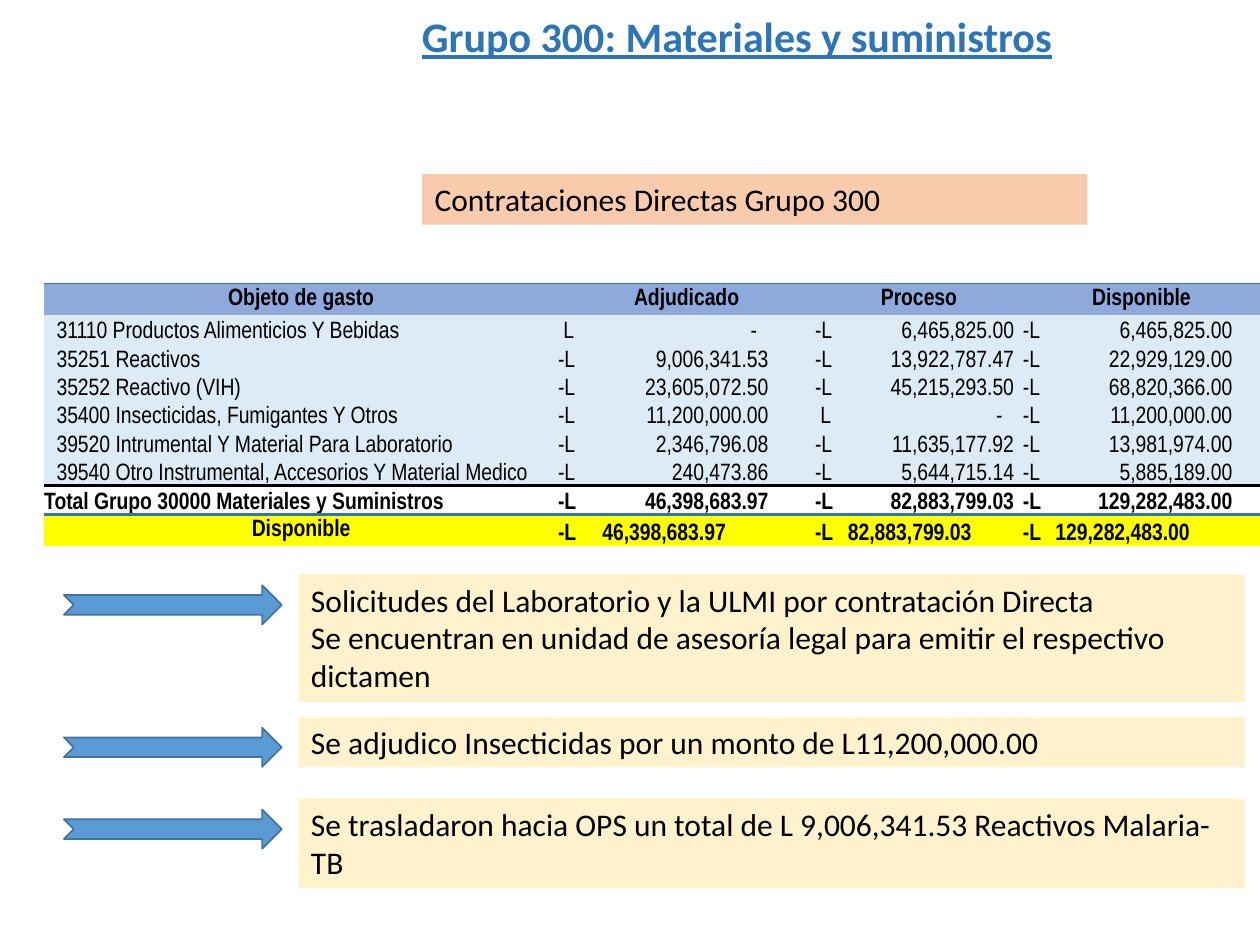
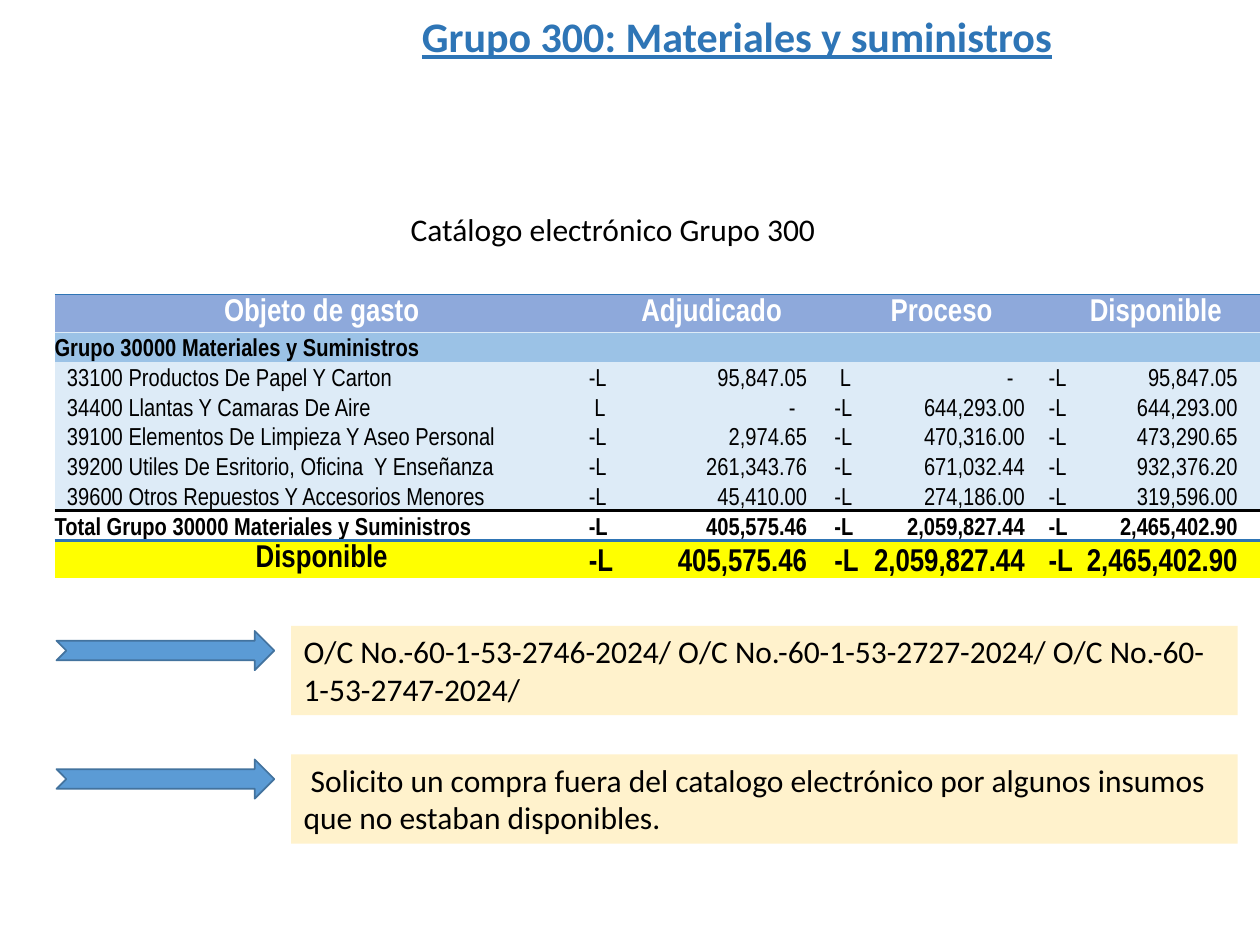
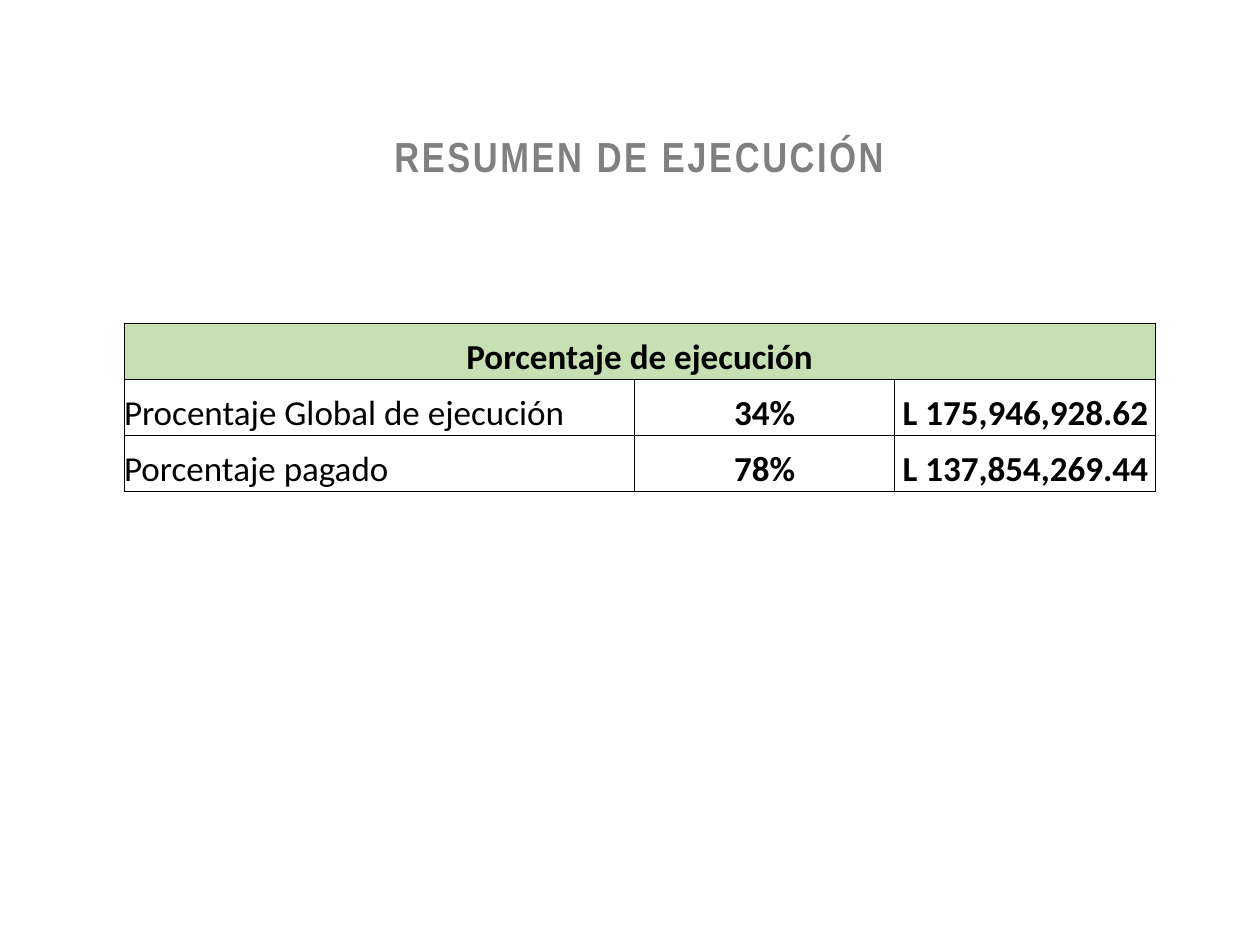
import pptx
import pptx.dml.color
import pptx.enum.shapes
import pptx.enum.text
import pptx.oxml
import pptx.oxml.ns
import pptx.util
from lxml import etree

Cm, Pt = pptx.util.Cm, pptx.util.Pt
ALIGN = pptx.enum.text.PP_ALIGN
ANCHOR = pptx.enum.text.MSO_ANCHOR
NARROW, SANS = "Arial Narrow", "Calibri"
BLACK, WHITE, PALE, YELLOW = "000000", "FFFFFF", "DDEBF7", "FFFF00"
HEAD, GROUP, RULE = "8EA9DB", "9BC2E6", "2F75B5"
CREAM, PEACH, GREEN = "FFF2CC", "F8CBAD", "C6E0B4"
PLAIN = "{2D5ABB26-0587-4C30-8999-92F81FD0307C}"
TOTAL = "Total Grupo 30000 Materiales y Suministros"


def rgb(code):
    return pptx.dml.color.RGBColor.from_string(code)


def paint(part, code):
    part.fill.solid()
    part.fill.fore_color.rgb = rgb(code)


def sub(parent, tag, **attrs):
    return etree.SubElement(parent, pptx.oxml.ns.qn(tag), attrs)


def write(frame, text, size=18, font=SANS, color=BLACK, bold=False,
          line=False, align=ALIGN.LEFT, space=None, track=None, tab=None):
    para = frame.paragraphs[0]
    para.text = text
    para.alignment = align
    para.line_spacing = space
    if tab:
        stops = sub(para._p.get_or_add_pPr(), "a:tabLst")
        sub(stops, "a:tab", pos=str(Cm(tab)), algn="r")
    if not text:
        para._p.get_or_add_endParaRPr().set("sz", str(size * 100))
    for run in para.runs:
        face = run.font
        face.name, face.size, face.bold = font, Pt(size), bold
        face.underline = line
        face.color.rgb = rgb(color)
        if track:
            run._r.get_or_add_rPr().set("spc", str(track))


def label(slide, box, text, fill=None, anchor=ANCHOR.TOP, **style):
    shape = slide.shapes.add_textbox(*map(Cm, box))
    shape.text_frame.word_wrap = True
    shape.text_frame.vertical_anchor = anchor
    if fill:
        paint(shape, fill)
    write(shape.text_frame, text, **style)


def title(slide):
    label(slide, (3.43, -0.8, 22.86, 3.18), "Grupo 300: Materiales y suministros",
          anchor=ANCHOR.MIDDLE, size=24, color="2E75B6", bold=True,
          line=True, align=ALIGN.CENTER, space=0.9)


def note(slide, left, top, height, text, drop):
    # Arrow on the left, text band on the right
    arrow = slide.shapes.add_shape(
        pptx.enum.shapes.MSO_SHAPE.NOTCHED_RIGHT_ARROW,
        Cm(left - 4.73), Cm(top + drop), Cm(4.39), Cm(0.79))
    arrow.shadow.inherit = False
    paint(arrow, "5B9BD5")
    arrow.line.color.rgb = rgb("43739E")
    arrow.line.width = Pt(1)
    label(slide, (left, top, 19.08, height), text, fill=CREAM)


def grid(slide, left, top, cols, rows):
    frame = slide.shapes.add_table(len(rows), len(cols), Cm(left), Cm(top),
                                   Cm(sum(cols)), Cm(sum(rows)))
    table = frame.table
    table.first_row = table.horz_banding = False
    table._tbl.tblPr[0].text = PLAIN
    for col, width in zip(table.columns, cols):
        col.width = Cm(width)
    for row, height in zip(table.rows, rows):
        row.height = Cm(height)
    return table


def fill_cell(cell, text, fill, edges=None, inset=0, anchor=ANCHOR.BOTTOM, **style):
    cell.margin_left = Cm(inset)
    cell.margin_right = cell.margin_top = cell.margin_bottom = 0
    cell.vertical_anchor = anchor
    props = cell._tc.get_or_add_tcPr()
    # Borders come before the fill; sides are ordered L, R, T, B
    for side, (color, width) in (edges or {}).items():
        edge = sub(props, "a:ln" + side, w=str(Pt(width)))
        sub(sub(edge, "a:solidFill"), "a:srgbClr", val=color)
    paint(cell, fill)
    write(cell.text_frame, text, **style)


def budget(slide, box, cols, stops, data, size, big, ink, high, shift):
    """Spending table: heading, items, total and available rows."""
    data = [("Objeto de gasto", "Adjudicado", "Proceso", "Disponible"), *data]
    last = len(data) - 1
    heights = [high[0], *[high[1]] * (last - 1), high[0]]
    table = grid(slide, *box, cols, heights)
    thin, dark, blue = (PALE, 0.5), (BLACK, 2), (RULE, 2)
    for r, row in enumerate(data):
        top, end = r == 0, r == last
        total, group = r == last - 1, row[0].startswith("Grupo")
        item = not (top or end or total or group)
        fill = (HEAD if top else YELLOW if end else WHITE if total
                else GROUP if group else PALE)
        edges = ({"T": (RULE, 0.5), "B": thin} if top else {"T": blue} if end
                 else {"T": dark, "B": blue} if total
                 else {"B": dark} if r == last - 2 else {})
        for c, text in enumerate(row):
            mid = top or (end and c == 0)
            tab = None
            if c and not top and text:
                dash = text == "-"
                tab = stops[c - 1] - (0.23 if dash else 0) - (shift if end else 0)
                text = (" L\t" if dash else "-L\t") + text
            fill_cell(table.cell(r, c), text, fill, edges,
                      inset=0.25 if item and c == 0 else 0,
                      anchor=ANCHOR.MIDDLE if mid else ANCHOR.BOTTOM,
                      align=ALIGN.CENTER if mid else ALIGN.LEFT,
                      size=big if top or end else size, font=NARROW,
                      color=ink if top else BLACK, bold=not item, tab=tab)


def direct(slide):
    title(slide)
    sums = ("46,398,683.97", "82,883,799.03", "129,282,483.00")
    budget(slide, (0.89, 5.72), (10.36, 5.18, 4.19, 4.78), (4.24, 4.01, 4.22), [
        ("31110 Productos Alimenticios Y Bebidas", "-", "6,465,825.00", "6,465,825.00"),
        ("35251 Reactivos", "9,006,341.53", "13,922,787.47", "22,929,129.00"),
        ("35252 Reactivo (VIH)", "23,605,072.50", "45,215,293.50", "68,820,366.00"),
        ("35400 Insecticidas, Fumigantes Y Otros", "11,200,000.00", "-", "11,200,000.00"),
        ("39520 Intrumental Y Material Para Laboratorio",
         "2,346,796.08", "11,635,177.92", "13,981,974.00"),
        ("39540 Otro Instrumental, Accesorios Y Material Medico",
         "240,473.86", "5,644,715.14", "5,885,189.00"),
        (TOTAL, *sums), ("Disponible", *sums),
    ], 13.5, 13.5, BLACK, (0.64, 0.52), 0.86)
    label(slide, (8.51, 3.51, 13.41, 1.02), "Contrataciones Directas Grupo 300", fill=PEACH)
    for top, height, text in (
        (11.58, 2.57, "Solicitudes del Laboratorio y la ULMI por contratación Directa\n"
         "Se encuentran en unidad de asesoría legal para emitir el respectivo dictamen"),
        (14.45, 1.02, "Se adjudico Insecticidas por un monto de L11,200,000.00"),
        (16.1, 1.8, "Se trasladaron hacia OPS un total de L 9,006,341.53 Reactivos Malaria-TB"),
    ):
        note(slide, 6.02, top, height, text, 0.22)


def catalog(slide):
    title(slide)
    label(slide, (8.03, 4.11, 13.41, 1.02), "Catálogo electrónico Grupo 300")
    sums = ("405,575.46", "2,059,827.44", "2,465,402.90")
    budget(slide, (1.1, 5.93), (10.77, 4.95, 4.32, 4.32), (4.4, 3.84, 3.81), [
        ("Grupo 30000 Materiales y Suministros", "", "", ""),
        ("33100 Productos De Papel Y Carton", "95,847.05", "-", "95,847.05"),
        ("34400 Llantas Y Camaras De Aire", "-", "644,293.00", "644,293.00"),
        ("39100 Elementos De Limpieza Y Aseo Personal",
         "2,974.65", "470,316.00", "473,290.65"),
        ("39200 Utiles De Esritorio, Oficina  Y Enseñanza",
         "261,343.76", "671,032.44", "932,376.20"),
        ("39600 Otros Repuestos Y Accesorios Menores",
         "45,410.00", "274,186.00", "319,596.00"),
        (TOTAL, *sums), ("Disponible", *sums),
    ], 14, 18, WHITE, (0.74, 0.6), 0)
    for top, text in (
        (12.62, "O/C No.-60-1-53-2746-2024/ O/C No.-60-1-53-2727-2024/ "
         "O/C No.-60-1-53-2747-2024/"),
        (15.21, " Solicito un compra fuera del catalogo electrónico por algunos "
         "insumos que no estaban disponibles."),
    ):
        note(slide, 5.87, top, 1.8, text, 0.1)


def summary(slide):
    label(slide, (5.59, 2.51, 14.6, 1.27), "RESUMEN DE EJECUCIÓN", size=24, font=NARROW,
          color="808080", bold=True, align=ALIGN.CENTER, track=150)
    table = grid(slide, 2.5, 6.52, (10.29, 5.25, 5.25), [1.13] * 3)
    edges = {side: (BLACK, 0.5) for side in "LRTB"}
    data = (("Porcentaje de ejecución", "", ""),
            ("Procentaje Global de ejecución", "34%", " L 175,946,928.62"),
            ("Porcentaje pagado", "78%", " L 137,854,269.44"))
    for r, row in enumerate(data):
        for c, text in enumerate(row):
            mid = r == 0 or c == 1
            fill_cell(table.cell(r, c), text, WHITE if r else GREEN, edges, size=20,
                      bold=r == 0 or c > 0, align=ALIGN.CENTER if mid else ALIGN.LEFT)
    table.cell(0, 0).merge(table.cell(0, 2))


def main():
    deck = pptx.Presentation()
    deck.slide_width, deck.slide_height = Cm(25.4), Cm(19.05)
    for build in (direct, catalog, summary):
        build(deck.slides.add_slide(deck.slide_layouts[6]))
    deck.save("out.pptx")


if __name__ == "__main__":
    main()
